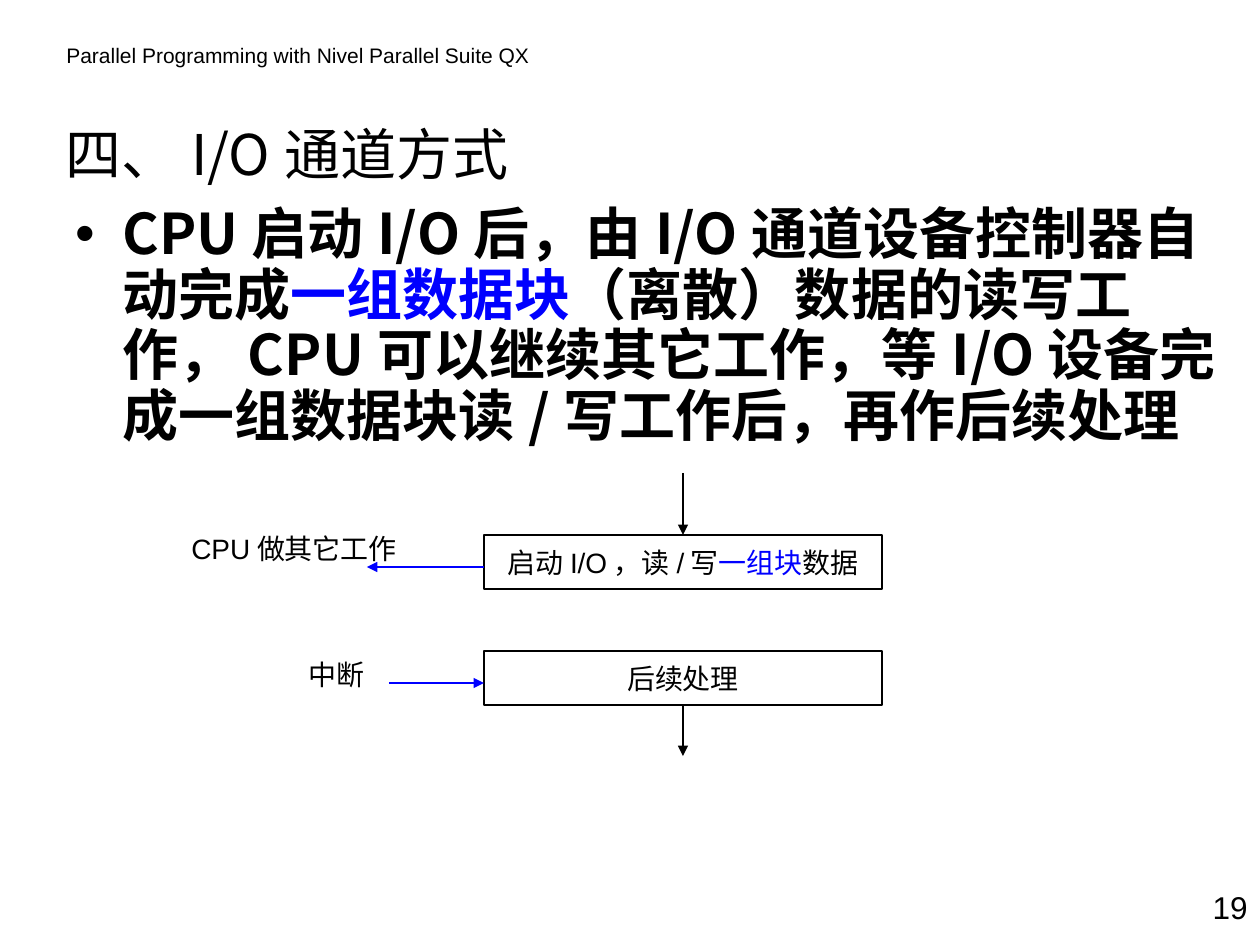
from pptx import Presentation
from pptx.dml.color import RGBColor
from pptx.enum.shapes import MSO_CONNECTOR, MSO_SHAPE
from pptx.enum.text import MSO_ANCHOR as Anchor, MSO_AUTO_SIZE, PP_ALIGN as Align
from pptx.oxml.ns import qn
from pptx.util import Emu, Pt
from lxml.etree import SubElement

EMU_PER_PX = 914400 / 126
COLORS = {"ink": "000000", "accent": "0000FF"}
LATIN, CJK = "Arial", "Noto Sans CJK SC"


def px(length):
    return Emu(round(length * EMU_PER_PX))


def color(name):
    return RGBColor.from_string(COLORS[name])


def write(shape, spans, size, font=LATIN, bold=False, align=Align.LEFT,
          anchor=Anchor.TOP):
    """Fill one paragraph with (text, colour name) spans."""
    frame = shape.text_frame
    frame.word_wrap = True
    frame.auto_size = MSO_AUTO_SIZE.NONE
    frame.vertical_anchor = anchor
    para = frame.paragraphs[0]
    para.alignment = align
    para.font.size = Pt(size)
    para.font.name = font
    para.font.bold = bold
    para.font.color.rgb = color("ink")
    defaults = para._p.pPr.find(qn("a:defRPr"))
    SubElement(defaults, qn("a:ea")).set("typeface", CJK)
    for text, name in spans:
        span = para.add_run()
        span.text = text
        if name != "ink":
            span.font.color.rgb = color(name)
    return para


def place(shape, left, top, width, height):
    shape.left, shape.top = px(left), px(top)
    shape.width, shape.height = px(width), px(height)


def add_text(page, bounds, spans, size, **style):
    box = page.shapes.add_textbox(*map(px, bounds))
    return write(box, spans, size, **style)


def add_bullet(para, indent):
    """Hang a bullet, and keep punctuation inside the right margin."""
    properties = para._p.get_or_add_pPr()
    properties.set("marL", str(px(indent)))
    properties.set("indent", str(-px(indent)))
    properties.set("hangingPunct", "0")
    defaults = properties.find(qn("a:defRPr"))
    for tag, attributes in (("a:buFont", {"typeface": LATIN}),
                            ("a:buChar", {"char": "•"})):
        defaults.addprevious(properties.makeelement(qn(tag), attributes))


def add_step(page, top, spans):
    box = page.shapes.add_shape(MSO_SHAPE.RECTANGLE, px(484), px(top), px(398), px(54))
    box.shadow.inherit = False
    box.fill.background()
    box.line.color.rgb = color("ink")
    box.line.width = Pt(0.75)
    write(box, spans, 16, align=Align.CENTER, anchor=Anchor.MIDDLE)
    return box


def add_arrow(page, start, end, name):
    arrow = page.shapes.add_connector(MSO_CONNECTOR.STRAIGHT, *map(px, start + end))
    arrow.line.color.rgb = color(name)
    arrow.line.width = Pt(0.75)
    SubElement(arrow.line._get_or_add_ln(), qn("a:tailEnd")).set("type", "triangle")
    SubElement(arrow._element.spPr, qn("a:effectLst"))
    return arrow


def main():
    deck = Presentation()
    deck.slide_width, deck.slide_height = px(1260), px(945)
    page = deck.slides.add_slide(deck.slide_layouts[5])

    # Header, title and page number
    add_text(page, (54, 36, 517, 38),
             [("Parallel Programming with Nivel Parallel Suite QX", "ink")], 12)
    title = page.shapes.title
    place(title, 53, 106, 714, 94)
    write(title, [("四、I/O通道方式", "ink")], 32, font=CJK, anchor=Anchor.MIDDLE)
    add_text(page, (1176, 882, 84, 50), [("19", "ink")], 18, align=Align.RIGHT)

    # Explanation
    para = add_text(page, (63, 200, 1170, 262), [
        ("CPU启动I/O后，由I/O通道设备控制器自动完成", "ink"),
        ("一组数据块", "accent"),
        ("（离散）数据的读写工作，CPU可以继续其它工作，"
         "等I/O设备完成一组数据块读/写工作后，再作后续处理", "ink"),
    ], 32, font=CJK, bold=True)
    para.line_spacing = 0.9
    add_bullet(para, 47)

    # Flow steps
    start_step = add_step(page, 535, [
        ("启动I/O，读/写", "ink"), ("一组块", "accent"), ("数据", "ink")])
    follow_step = add_step(page, 651, [("后续处理", "ink")])

    # Flow in and out
    add_arrow(page, (683, 473), (683, 535), "ink").end_connect(start_step, 0)
    add_arrow(page, (683, 705), (683, 756), "ink").begin_connect(follow_step, 2)

    # Side branches
    add_arrow(page, (484, 567), (367, 567), "accent")
    add_text(page, (179, 525, 258, 47), [("CPU做其它工作", "ink")], 16)
    add_arrow(page, (389, 683), (484, 683), "accent")
    add_text(page, (296, 651, 93, 47), [("中断", "ink")], 16)

    deck.save("out.pptx")


if __name__ == "__main__":
    main()
